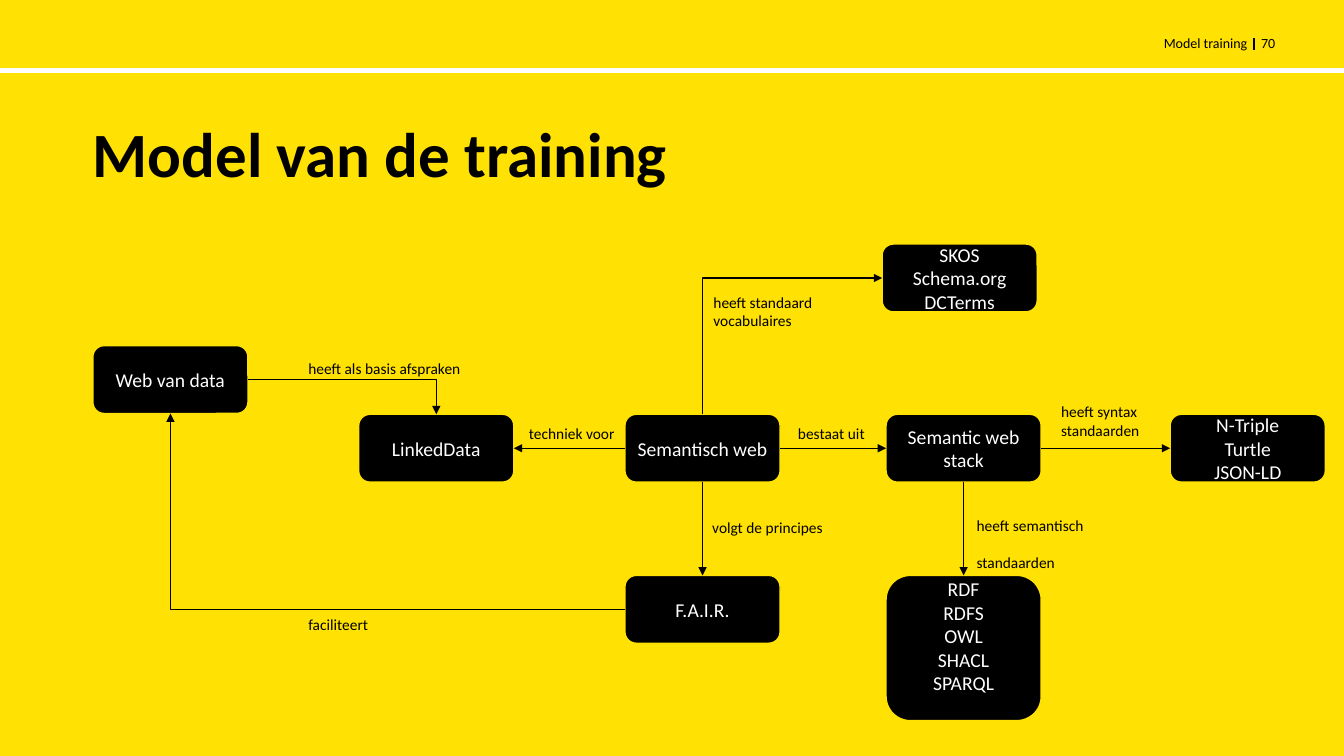
from lxml import etree
from pptx import Presentation
from pptx.dml.color import RGBColor
from pptx.enum.shapes import MSO_CONNECTOR, MSO_SHAPE
from pptx.enum.text import MSO_ANCHOR, PP_ALIGN
from pptx.oxml.ns import qn
from pptx.util import Cm, Pt

STRAIGHT, ELBOW = MSO_CONNECTOR.STRAIGHT, MSO_CONNECTOR.ELBOW
ROUNDED = MSO_SHAPE.ROUNDED_RECTANGLE
MIDDLE, TOP_ANCHOR = MSO_ANCHOR.MIDDLE, MSO_ANCHOR.TOP
LEFT_ALIGN, CENTER, RIGHT_ALIGN = PP_ALIGN.LEFT, PP_ALIGN.CENTER, PP_ALIGN.RIGHT
TOP, LEFT, BOTTOM, RIGHT = range(4)

YELLOW = RGBColor(0xFF, 0xE1, 0x03)
BLACK = RGBColor(0, 0, 0)
WHITE = RGBColor(0xFF, 0xFF, 0xFF)
FONT = "Calibri"

SLIDE_WIDTH, SLIDE_HEIGHT = 33.87, 19.05
NODE_WIDTH, NODE_HEIGHT = 3.91, 1.71
UPPER_ROW, MAIN_ROW, LOWER_ROW = 6.15, 10.44, 14.5
CENTER_COLUMN, STACK_COLUMN = 15.75, 22.33

NODES = {
    "web": ("Web van data", 2.34, 8.71),
    "linked": ("LinkedData", 9.04, MAIN_ROW),
    "fair": ("F.A.I.R.", CENTER_COLUMN, LOWER_ROW),
    "semantic": ("Semantisch web", CENTER_COLUMN, MAIN_ROW),
    "stack": ("Semantic web stack", STACK_COLUMN, MAIN_ROW),
    "syntaxes": ("N-Triple\nTurtle\nJSON-LD", 29.49, MAIN_ROW),
    "vocabularies": ("SKOS\vSchema.org\nDCTerms", 22.23, UPPER_ROW),
}

ARROWS = [
    ("web", RIGHT, "linked", TOP),
    ("semantic", BOTTOM, "fair", TOP),
    ("semantic", LEFT, "linked", RIGHT),
    ("fair", LEFT, "web", BOTTOM),
    ("semantic", RIGHT, "stack", LEFT),
    ("stack", BOTTOM, "standards", TOP),
    ("stack", RIGHT, "syntaxes", LEFT),
    ("semantic", TOP, "vocabularies", LEFT),
]

LABELS = [
    ("heeft als basis afspraken", 7.52, 8.92, 6.45),
    ("techniek voor", 13.08, 10.57, 6.45),
    ("volgt de principes", 17.7, 12.93, 6.45),
    ("faciliteert", 7.52, 15.37, 6.45),
    ("bestaat uit", 19.86, 10.57, 6.45),
    ("heeft syntax\nstandaarden", 26.49, 10.01, 3),
    ("heeft standaard vocabulaires", 17.73, 7.26, 3.48),
]


def write_text(shape, text, size, color=BLACK, align=LEFT_ALIGN, anchor=TOP_ANCHOR,
               inset=None, bold=False):
    frame = shape.text_frame
    frame.text = text
    frame.word_wrap = True
    frame.vertical_anchor = anchor
    if inset is not None:
        frame.margin_left = frame.margin_right = Cm(inset)
        frame.margin_top = frame.margin_bottom = Cm(inset)
    for paragraph in frame.paragraphs:
        paragraph.alignment = align
        for run in paragraph.runs:
            run.font.name = FONT
            run.font.size = Pt(size)
            run.font.bold = bold
            run.font.color.rgb = color
    return frame


def add_text(slide, text, left, top, width, height, size, **style):
    box = slide.shapes.add_textbox(Cm(left), Cm(top), Cm(width), Cm(height))
    return write_text(box, text, size, **style)


def style_line(connector, color, weight):
    connector.line.color.rgb = color
    connector.line.width = Pt(weight)
    etree.SubElement(connector._element.spPr, qn("a:effectLst"))


def add_rule(slide, left, top, right, bottom, color, weight):
    rule = slide.shapes.add_connector(STRAIGHT, Cm(left), Cm(top), Cm(right), Cm(bottom))
    style_line(rule, color, weight)


def add_header(slide, top, height):
    middle = top + height / 2
    add_rule(slide, 31.6, middle - 0.13, 31.6, middle + 0.17, BLACK, 1)
    add_rule(slide, 0, top + 1.12, SLIDE_WIDTH, top + 1.12, WHITE, 3.5)
    add_text(slide, "Model training", 16.93, top, 14.5, height, 10,
             align=RIGHT_ALIGN, anchor=MIDDLE, inset=0)
    add_text(slide, "70", 31.78, top, 1.47, height, 10, anchor=MIDDLE, inset=0)


def add_title(slide, left, top, width, height):
    frame = add_text(slide, "Model van de training", left, top, width, height, 45,
                     anchor=MIDDLE, inset=0, bold=True)
    frame.paragraphs[0].line_spacing = 0.9


def add_node(slide, text, left, top, height=NODE_HEIGHT):
    node = slide.shapes.add_shape(ROUNDED, Cm(left), Cm(top), Cm(NODE_WIDTH), Cm(height))
    node.shadow.inherit = False
    node.fill.solid()
    node.fill.fore_color.rgb = BLACK
    node.line.color.rgb = YELLOW
    node.line.width = Pt(1)
    write_text(node, text, 14, color=WHITE, align=CENTER, anchor=MIDDLE, inset=0.15)
    return node


def turn_upright(connector):
    begin_x, begin_y = connector.begin_x, connector.begin_y
    end_x, end_y = connector.end_x, connector.end_y
    center_x, center_y = (begin_x + end_x) // 2, (begin_y + end_y) // 2
    connector.begin_x = center_x + begin_y - center_y
    connector.begin_y = center_y - begin_x + center_x
    connector.end_x = center_x + end_y - center_y
    connector.end_y = center_y - end_x + center_x
    connector._element.spPr.find(qn("a:xfrm")).set("rot", "5400000")


def add_arrow(slide, source, source_side, target, target_side):
    bent = (source_side - target_side) % 2 == 1
    arrow = slide.shapes.add_connector(ELBOW if bent else STRAIGHT, 0, 0, 0, 0)
    arrow.begin_connect(source, source_side)
    arrow.end_connect(target, target_side)
    if bent:
        arrow._element.spPr.find(qn("a:prstGeom")).set("prst", "bentConnector2")
        if source_side in (TOP, BOTTOM):
            turn_upright(arrow)
    style_line(arrow, BLACK, 1)
    line = arrow._element.spPr.find(qn("a:ln"))
    etree.SubElement(line, qn("a:tailEnd"), type="triangle")


def add_diagram(slide):
    nodes = {name: add_node(slide, *node) for name, node in NODES.items()}
    standards = add_node(slide, "RDF\vRDFS\vOWL\vSHACL\vSPARQL", STACK_COLUMN, LOWER_ROW, 3.66)
    standards.text_frame.margin_bottom = Cm(0.75)
    nodes["standards"] = standards
    for source, source_side, target, target_side in ARROWS:
        add_arrow(slide, nodes[source], source_side, nodes[target], target_side)
    for text, left, top, width in LABELS:
        add_text(slide, text, left, top, width, 0.73, 11)
    spaced = add_text(slide, "heeft semantisch\nstandaarden", 24.36, 12.88, 3.28, 1.2, 11)
    spaced.paragraphs[1].space_before = Pt(13.4)


def main():
    presentation = Presentation()
    presentation.slide_width = Cm(SLIDE_WIDTH)
    presentation.slide_height = Cm(SLIDE_HEIGHT)
    slide = presentation.slides.add_slide(presentation.slide_layouts[6])
    slide.background.fill.solid()
    slide.background.fill.fore_color.rgb = YELLOW
    add_header(slide, 0.66, 0.86)
    add_title(slide, 2.34, 3.02, 30.18, 1.88)
    add_diagram(slide)
    presentation.save("out.pptx")


if __name__ == "__main__":
    main()
